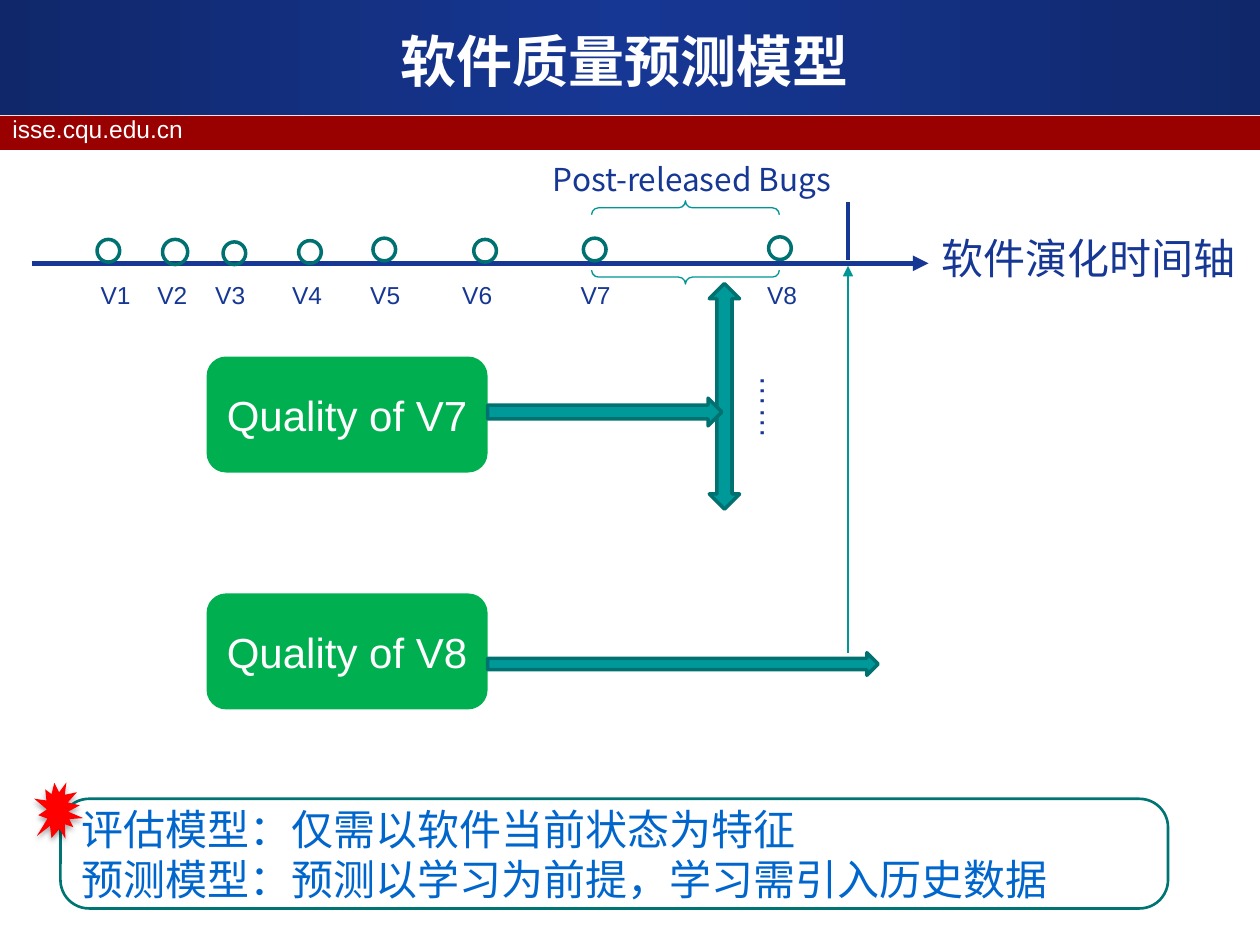
from copy import deepcopy
from typing import NamedTuple, Optional

from lxml.etree import SubElement
from pptx import Presentation
from pptx.dml.color import RGBColor
from pptx.enum.shapes import MSO_CONNECTOR as Link, MSO_SHAPE as Kind
from pptx.enum.text import MSO_ANCHOR as Anchor, PP_ALIGN as Align
from pptx.oxml import parse_xml
from pptx.oxml.ns import qn
from pptx.util import Inches, Pt

NAVY, TEAL, EDGE, WHITE = "163794", "009999", "007171", "FFFFFF"
DARK, BRACE = "10276A", "009696"
CJK = "Noto Sans CJK SC"
SPACE = "http://schemas.openxmlformats.org/drawingml/2006/main"


class Box(NamedTuple):
    left: float
    top: float
    width: float
    height: float


class Style(NamedTuple):
    size: float
    color: str = NAVY
    face: str = "Arial"
    bold: bool = False
    align: Align = Align.LEFT


class Mark(NamedTuple):
    left: float
    top: float
    size: float = 0.18


class Stage(NamedTuple):
    label: str
    top: float
    arrow: Box


def paint(target, color: str) -> None:
    target.rgb = RGBColor.from_string(color)


def write(shape, lines: list[str], style: Style, anchor=Anchor.TOP,
          wrap: bool = True, tabs: tuple = ()) -> None:
    frame = shape.text_frame
    frame.word_wrap = wrap
    frame.vertical_anchor = anchor
    frame.text = "\n".join(lines)
    for para in frame.paragraphs:
        para.alignment = style.align
        if tabs:
            stops = SubElement(para._p.get_or_add_pPr(), qn("a:tabLst"))
            for stop in tabs:
                SubElement(stops, qn("a:tab"), pos=str(Inches(stop)), algn="l")
        font = para.font
        font.size = Pt(style.size)
        font.bold = style.bold
        font.name = style.face
        paint_font(font, style.color)
        SubElement(font._element, qn("a:ea"), typeface=CJK)


def paint_font(font, color: str) -> None:
    font.fill.solid()
    paint(font.fill.fore_color, color)


def label(slide, box: Box, text: str, style: Style, **more):
    shape = slide.shapes.add_textbox(*map(Inches, box))
    write(shape, [text], style, **more)
    return shape


def draw(slide, kind: Kind, box: Box, fill: Optional[str] = None,
         line: Optional[str] = None, weight: float = 2, turn: float = 0):
    shape = slide.shapes.add_shape(kind, *map(Inches, box))
    shape.shadow.inherit = False
    shape.rotation = turn
    if fill:
        shape.fill.solid()
        paint(shape.fill.fore_color, fill)
    else:
        shape.fill.background()
    if line:
        paint(shape.line.color, line)
        shape.line.width = Pt(weight)
    else:
        shape.line.fill.background()
    return shape


def join(slide, start: tuple, end: tuple, color: str, weight: float,
         head: bool = False) -> None:
    line = slide.shapes.add_connector(
        Link.STRAIGHT, *map(Inches, (*start, *end)))
    paint(line.line.color, color)
    line.line.width = Pt(weight)
    if head:
        SubElement(line.line._get_or_add_ln(), qn("a:tailEnd"), type="triangle")
    SubElement(line._element.spPr, qn("a:effectLst"))


def blend(shape, outer: str, inner: str) -> None:
    shape.fill.gradient()
    shape.fill.gradient_angle = 0
    stops = shape.fill.gradient_stops
    first = stops[0]._gs
    first.addnext(deepcopy(first))
    for stop, color, place in zip(shape.fill.gradient_stops,
                                  (outer, inner, outer), (0, 0.5, 1)):
        paint(stop.color, color)
        stop.position = place


def shade(shape) -> None:
    part = shape._element.spPr
    part.remove(part.find(qn("a:effectLst")))
    part.append(parse_xml(
        f'<a:effectLst xmlns:a="{SPACE}">'
        '<a:outerShdw blurRad="39370" dist="22860" dir="5400000" rotWithShape="0">'
        '<a:srgbClr val="000000"><a:alpha val="35000"/></a:srgbClr>'
        '</a:outerShdw></a:effectLst>'))


def banner(slide) -> None:
    blend(draw(slide, Kind.RECTANGLE, Box(0, 0, 10, 0.91), NAVY), DARK, NAVY)
    draw(slide, Kind.RECTANGLE, Box(0, 0.92, 10, 0.27), "990000")
    label(slide, Box(0, 0.86, 9.61, 0.34), "isse.cqu.edu.cn", Style(14, WHITE))
    label(slide, Box(0.33, 0.17, 9.25, 0.62), "软件质量预测模型",
          Style(32, WHITE, "DejaVu Sans", True, Align.CENTER),
          anchor=Anchor.MIDDLE)


def axis(slide) -> None:
    join(slide, (0.25, 2.09), (7.37, 2.09), NAVY, 3, True)
    marks = [Mark(0.77, 1.9), Mark(1.29, 1.9, 0.2), Mark(1.77, 1.92),
             Mark(2.37, 1.91), Mark(2.96, 1.89), Mark(3.76, 1.9),
             Mark(4.63, 1.89), Mark(6.1, 1.88)]
    for mark in marks:
        draw(slide, Kind.OVAL, Box(mark.left, mark.top, mark.size, mark.size),
             line=EDGE)
    label(slide, Box(7.37, 1.8, 2.75, 0.56), "软件演化时间轴",
          Style(24, face=CJK))
    names = "\t".join(f"V{n}" for n in range(1, len(marks) + 1))
    label(slide, Box(0.7, 2.17, 6.6, 0.34), names, Style(14),
          tabs=(0.45, 0.91, 1.52, 2.14, 2.87, 3.81, 5.29))
    join(slide, (6.73, 1.6), (6.73, 2.06), NAVY, 2.25)
    join(slide, (6.73, 5.18), (6.73, 2.11), BRACE, 0.75, True)


def notes(slide) -> None:
    panel = draw(slide, Kind.ROUNDED_RECTANGLE, Box(0.48, 6.34, 8.79, 0.87),
                 line="007373", weight=1.5)
    panel.adjustments[0] = 0.26
    write(panel, ["评估模型：仅需以软件当前状态为特征",
                  "预测模型：预测以学习为前提，学习需引入历史数据"],
          Style(24, "0066CC"), Anchor.MIDDLE)
    shade(draw(slide, Kind.EXPLOSION1, Box(0.24, 6.23, 0.45, 0.4),
               "FF0000", turn=274.1))


def flow(slide) -> None:
    draw(slide, Kind.UP_DOWN_ARROW, Box(5.63, 2.25, 0.24, 1.79), TEAL, EDGE)
    draw(slide, Kind.DOUBLE_BRACE, Box(5.11, 1.18, 0.66, 1.49),
         line=BRACE, weight=0.75, turn=90)
    stages = [Stage("Quality of V7", 2.83, Box(3.87, 3.16, 1.86, 0.22)),
              Stage("Quality of V8", 4.71, Box(3.87, 5.18, 3.1, 0.18))]
    for stage in stages:
        card = draw(slide, Kind.ROUNDED_RECTANGLE,
                    Box(1.64, stage.top, 2.23, 0.92), "00B050")
        write(card, [stage.label], Style(24, WHITE, align=Align.CENTER),
              Anchor.MIDDLE)
        draw(slide, Kind.RIGHT_ARROW, stage.arrow, TEAL, EDGE)
    dots = label(slide, Box(5.78, 3.04, 0.71, 0.4), "……", Style(18), wrap=False)
    dots.rotation = 90
    label(slide, Box(4.29, 1.22, 2.52, 0.4), "Post-released Bugs",
          Style(18, face=CJK), wrap=False)


def main() -> None:
    deck = Presentation()
    deck.slide_width, deck.slide_height = Inches(10), Inches(7.5)
    slide = deck.slides.add_slide(deck.slide_layouts[6])
    for part in (banner, axis, notes, flow):
        part(slide)
    deck.save("out.pptx")


if __name__ == "__main__":
    main()
